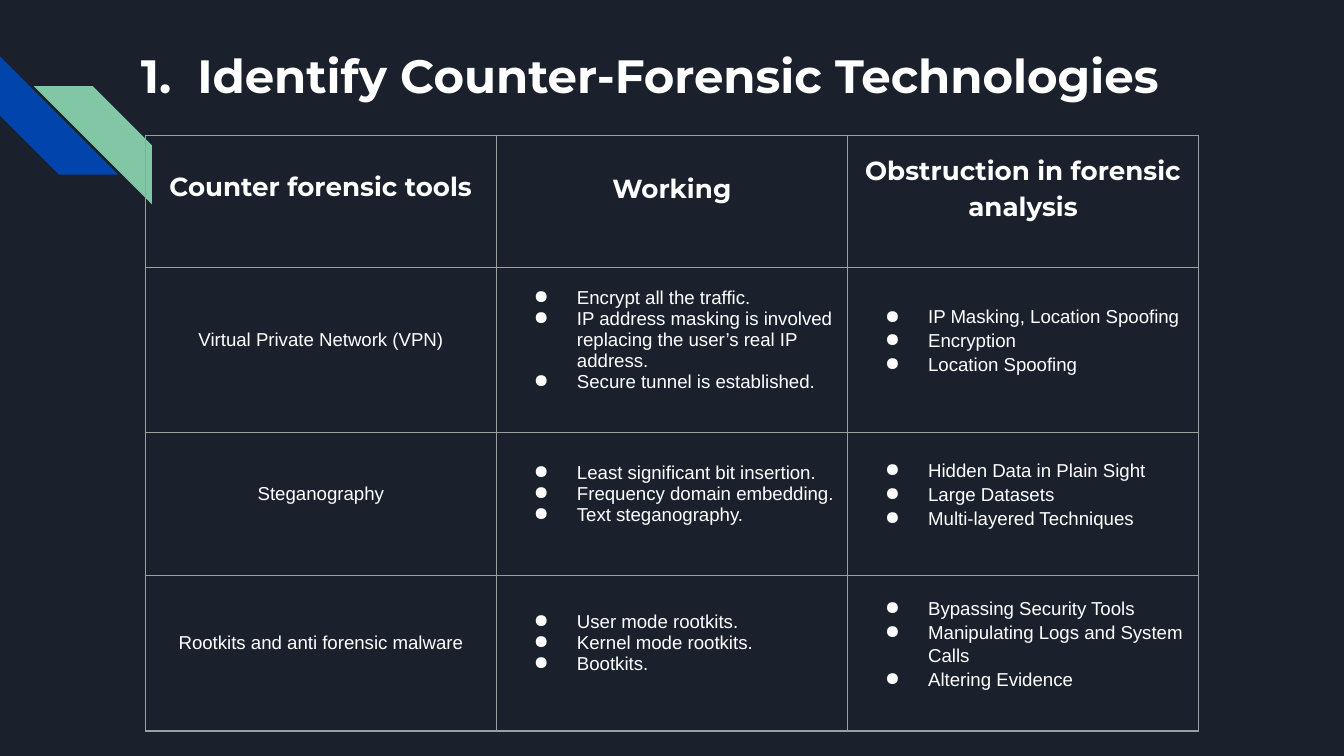
from lxml.etree import SubElement
from pptx import Presentation
from pptx.dml.color import RGBColor as Rgb
from pptx.enum.shapes import MSO_SHAPE as Shape
from pptx.enum.text import MSO_ANCHOR as Anchor, PP_ALIGN as Align
from pptx.oxml.ns import qn
from pptx.util import Inches, Pt

COLORS = {"night": "1B212C", "blue": "0145AC", "mint": "82C7A5", "white": "FFFFFF", "rule": "9E9E9E"}

deck = Presentation()
deck.slide_width, deck.slide_height = Inches(10), Inches(5.625)
UNIT = deck.slide_width / 100


def grid(*counts):
    return [round(count * UNIT) for count in counts]


def write(paragraph, words, font, size, bold, marker=None, hang=0):
    run = paragraph.add_run()
    run.text = words
    run.font.name, run.font.size, run.font.bold = font, Pt(size), bold
    run.font.color.rgb = Rgb.from_string(COLORS["white"])
    if marker:
        props = paragraph._p.get_or_add_pPr()
        props.set("marL", str(Inches(0.5)))
        props.set("indent", str(-Inches(hang)))
        bullet_color = SubElement(props, qn("a:buClr"))
        SubElement(bullet_color, qn("a:srgbClr"), val=COLORS["white"])
        tag, key, value = marker
        SubElement(props, qn(tag)).set(key, value)


slide = deck.slides.add_slide(deck.slide_layouts[6])
slide.background.fill.solid()
slide.background.fill.fore_color.rgb = Rgb.from_string(COLORS["night"])

for left, top, color, turn, flipped in [(0, 4.2, "blue", 270, False), (2.5, 6.4, "mint", 0, True)]:
    stripe = slide.shapes.add_shape(Shape.DIAGONAL_STRIPE, *grid(left, top, 8.8, 8.8))
    stripe.adjustments[0] = 0.5
    stripe.rotation = turn
    stripe.shadow.inherit = False
    stripe.fill.solid()
    stripe.fill.fore_color.rgb = Rgb.from_string(COLORS[color])
    stripe.line.fill.background()
    if flipped:
        stripe._element.spPr.xfrm.set("flipH", "1")

headings = ["Counter forensic tools", "Working", "Obstruction in forensic analysis"]
technologies = [
    ("Virtual Private Network (VPN)",
     ["Encrypt all the traffic.",
      "IP address masking is involved replacing the user’s real IP address.",
      "Secure tunnel is established."],
     ["IP Masking, Location Spoofing", "Encryption", "Location Spoofing"]),
    ("Steganography",
     ["Least significant bit insertion.", "Frequency domain embedding.", "Text steganography."],
     ["Hidden Data in Plain Sight", "Large Datasets", "Multi-layered Techniques"]),
    ("Rootkits and anti forensic malware",
     ["User mode rootkits.", "Kernel mode rootkits.", "Bootkits."],
     ["Bypassing Security Tools", "Manipulating Logs and System Calls", "Altering Evidence"]),
]
contents = [[[heading] for heading in headings]]
contents += [[[tool], working, obstruction] for tool, working, obstruction in technologies]

row_heights = grid(9.8, 12.3, 10.6, 11.6)
comparison = slide.shapes.add_table(4, 3, *grid(10.8, 10.1, 78.4), sum(row_heights)).table
comparison.first_row = comparison.horz_banding = False
for column in comparison.columns:
    column.width = round(78.4 / 3 * UNIT)

for r, (height, row_content) in enumerate(zip(row_heights, contents)):
    comparison.rows[r].height = height
    for c, lines in enumerate(row_content):
        cell = comparison.cell(r, c)
        cell.vertical_anchor = Anchor.MIDDLE
        cell.margin_left = cell.margin_right = cell.margin_top = Inches(0.1)
        cell.margin_bottom = Inches(0.25 if r else 0.32)
        for side in ("a:lnL", "a:lnR", "a:lnT", "a:lnB"):
            border = SubElement(cell._tc.get_or_add_tcPr(), qn(side), w=str(Pt(0.75)))
            SubElement(SubElement(border, qn("a:solidFill")), qn("a:srgbClr"), val=COLORS["rule"])
        cell.fill.background()
        for n, words in enumerate(lines):
            line = cell.text_frame.add_paragraph() if n else cell.text_frame.paragraphs[0]
            listed = r > 0 and c > 0
            line.alignment = Align.LEFT if listed else Align.CENTER
            if c == 2 or (r == 0 and c == 1):
                line.line_spacing = 1.15
            font, size = ("Arial", 10) if r else ("Montserrat", 14)
            write(line, words, font, size, r == 0, ("a:buChar", "char", "●") if listed else None, 0.32)

title = slide.shapes.add_textbox(*grid(8.7, 1, 84.6, 9.2)).text_frame
title.word_wrap = True
title.vertical_anchor = Anchor.MIDDLE
title.margin_left = title.margin_right = title.margin_top = title.margin_bottom = Inches(0.1)
write(title.paragraphs[0], "Identify Counter-Forensic Technologies", "Montserrat", 25, True,
      ("a:buAutoNum", "type", "arabicPeriod"), 0.42)

deck.save("out.pptx")
